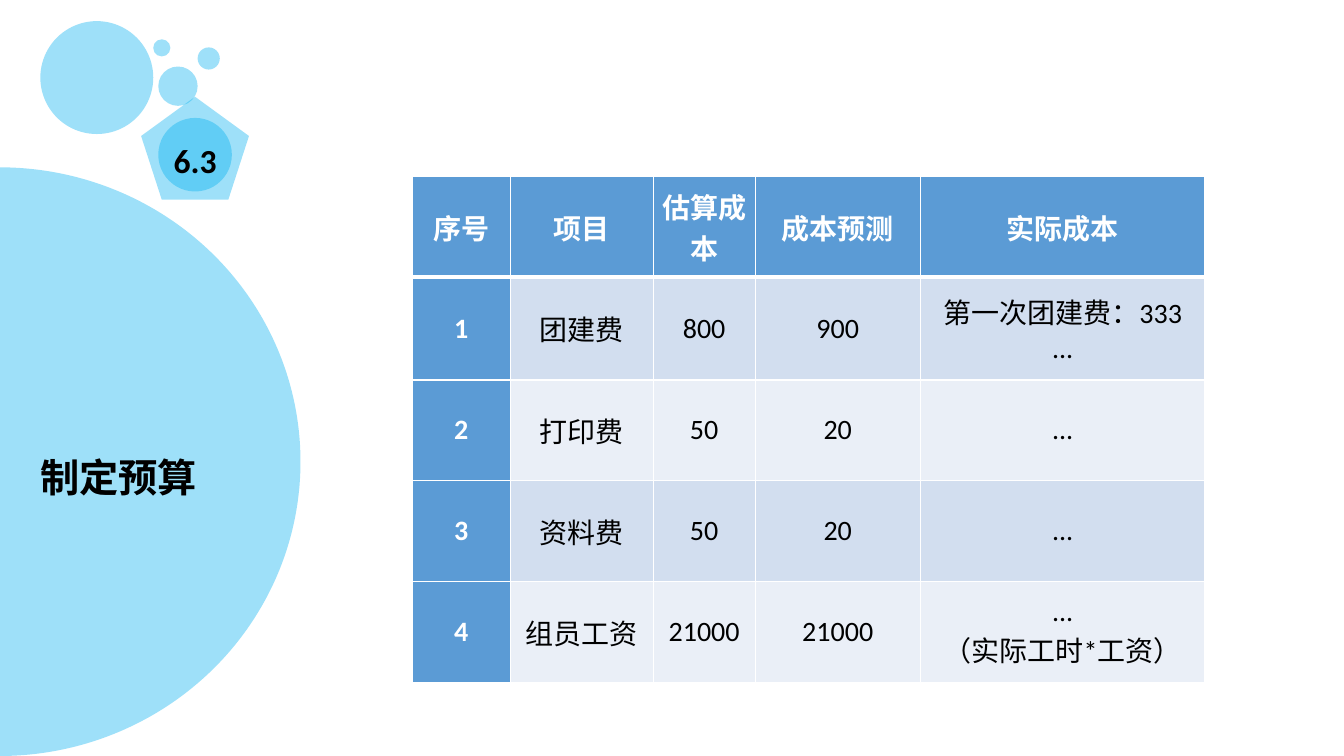
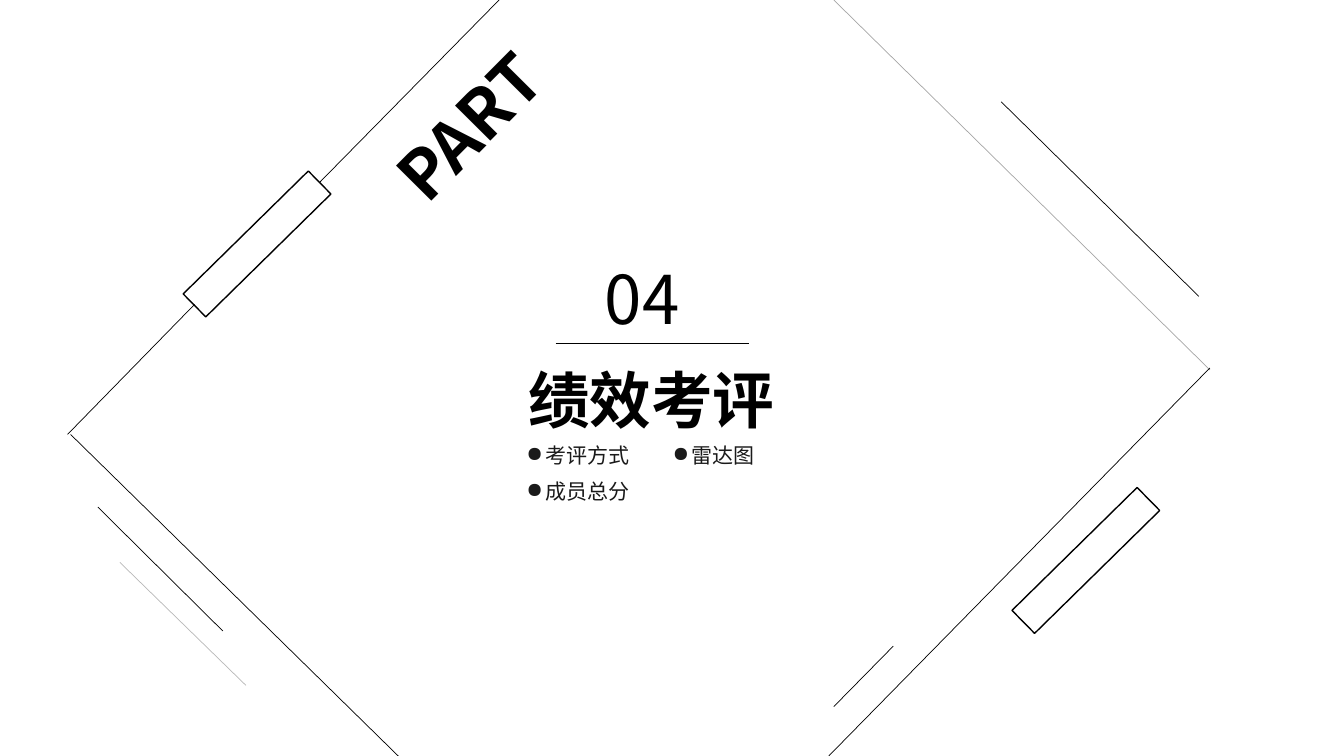
from lxml.etree import SubElement
from pptx import Presentation
from pptx.dml.color import RGBColor
from pptx.enum.shapes import MSO_CONNECTOR, MSO_SHAPE
from pptx.enum.text import MSO_ANCHOR, PP_ALIGN
from pptx.oxml import parse_xml
from pptx.oxml.ns import nsdecls, qn
from pptx.util import Inches, Pt

LATIN, CJK = "Calibri", "Noto Sans CJK SC"
BLACK, WHITE, BULLET_TEXT = "000000", "FFFFFF", "1A1A1A"
SKY, HEAD, BAND_DARK, BAND_LIGHT = "00B0F0", "5B9BD5", "D2DEEF", "EAEFF7"
BUBBLE_ALPHA = 38
TILT = 315.5


def color(hex_value):
    """Turn a hex string into a colour."""
    return RGBColor.from_string(hex_value)


def set_alpha(part, percent):
    """Make the solid fill inside an XML part partly transparent."""
    clr = next(part.iter(qn("a:srgbClr")))
    SubElement(clr, qn("a:alpha"), val=str(percent * 1000))


def style_runs(tf, size, font=LATIN, ink=BLACK, bold=False, align=None):
    """Format every paragraph and run of a text frame."""
    for p in tf.paragraphs:
        p.alignment = align
        for r in p.runs:
            r.font.size, r.font.bold = Pt(size), bold
            r.font.color.rgb = color(ink)
            r.font.name = font
            SubElement(r._r.get_or_add_rPr(), qn("a:ea"), typeface=CJK)


def add_text(s, box, text, size, rotation=0, wrap=True, margin=None, **style):
    """Add a text box and return its text frame."""
    sp = s.shapes.add_textbox(*map(Inches, box))
    sp.rotation = rotation
    tf = sp.text_frame
    tf.word_wrap = wrap
    if margin is not None:
        tf.margin_left = tf.margin_top = Inches(margin)
        tf.margin_right = tf.margin_bottom = Inches(margin)
    tf.text = text
    style_runs(tf, size, **style)
    return tf


def add_tinted(shapes, kind, box):
    """Add a translucent sky-blue shape without outline."""
    sp = shapes.add_shape(kind, *map(Inches, box))
    sp.shadow.inherit = False
    sp.fill.solid()
    sp.fill.fore_color.rgb = color(SKY)
    set_alpha(sp._element.spPr, BUBBLE_ALPHA)
    sp.line.fill.background()
    return sp


def add_line(s, start, end, alpha=None):
    """Add a thin black straight line."""
    c = s.shapes.add_connector(MSO_CONNECTOR.STRAIGHT, *map(Inches, start + end))
    c.line.color.rgb = color(BLACK)
    c.line.width = Pt(0.5)
    if alpha:
        set_alpha(c._element.spPr, alpha)
    SubElement(c._element.spPr, qn("a:effectLst"))
    return c


def add_tilted_bar(s, left, top):
    """Add an outlined bar tilted along the diamond's edge."""
    sp = s.shapes.add_shape(MSO_SHAPE.RECTANGLE, *map(Inches, (left, top, 1.74, 0.32)))
    sp.shadow.inherit = False
    sp.rotation = TILT
    sp.fill.background()
    sp.line.color.rgb = color(BLACK)
    sp.line.width = Pt(1)
    return sp


def join_end(c, sp, site):
    """Join a line's end to a tilted bar, keeping the end where it is drawn."""
    x, y = c.end_x, c.end_y
    c.end_connect(sp, site)
    c.end_x, c.end_y = x, y


def set_borders(cell, top, bottom):
    """Give a cell white borders; widths are in points."""
    tcPr = cell._tc.get_or_add_tcPr()
    for i, (side, width) in enumerate(zip("LRTB", (1, 1, top, bottom))):
        tcPr.insert(i, parse_xml(
            f'<a:ln{side} {nsdecls("a")} w="{Pt(width)}"><a:solidFill>'
            f'<a:srgbClr val="{WHITE}"/></a:solidFill></a:ln{side}>'))


def add_bubbles(s, left, top):
    """Add the cluster of circles in the corner."""
    group = s.shapes.add_group_shape()
    for x, y, d in ((0, 0, 1.12), (1.12, 0.18, 0.17), (1.56, 0.26, 0.22),
                    (1.17, 0.45, 0.39), (1.17, 0.96, 0.73)):
        add_tinted(group.shapes, MSO_SHAPE.OVAL, (left + x, top + y, d, d))


def add_side_panel(s, number, title):
    """Add the half disc with the section title and numbered pentagon."""
    add_bubbles(s, 0.4, 0.21)
    pie = add_tinted(s.shapes, MSO_SHAPE.PIE, (-2.99, 1.66, 5.97, 5.84))
    pie.adjustments[0], pie.adjustments[1] = 54, 162
    pie.rotation = 180
    add_text(s, (0.3, 4.45, 2.69, 0.57), title, 28, bold=True)
    badge = add_tinted(s.shapes, MSO_SHAPE.REGULAR_PENTAGON, (1.4, 0.96, 1.07, 1.02))
    tf = badge.text_frame
    tf.vertical_anchor = MSO_ANCHOR.MIDDLE
    tf.text = number
    style_runs(tf, 24, bold=True, align=PP_ALIGN.CENTER)


def add_budget_table(s, left, top, widths, heights, rows):
    """Add a banded table with a header row and a header column."""
    box = map(Inches, (left, top, sum(widths), sum(heights)))
    table = s.shapes.add_table(len(rows), len(widths), *box).table
    for col, width in zip(table.columns, widths):
        col.width = Inches(width)
    for i, (row, height) in enumerate(zip(rows, heights)):
        table.rows[i].height = Inches(height)
        for j, text in enumerate(row):
            cell = table.cell(i, j)
            is_head = i == 0 or j == 0
            cell.text_frame.text = text
            style_runs(cell.text_frame, 20, ink=WHITE if is_head else BLACK,
                       bold=is_head, align=PP_ALIGN.CENTER)
            cell.vertical_anchor = MSO_ANCHOR.MIDDLE
            cell.margin_left = cell.margin_right = Inches(0.07)
            cell.margin_top = cell.margin_bottom = 0
            cell.fill.solid()
            band = BAND_DARK if i % 2 else BAND_LIGHT
            cell.fill.fore_color.rgb = color(HEAD if is_head else band)
            set_borders(cell, 3 if i == 1 else 1, 3 if i == 0 else 1)


def budget_slide(prs):
    """Build the budget slide."""
    s = prs.slides.add_slide(prs.slide_layouts[6])
    add_side_panel(s, "6.3", "制定预算")
    add_budget_table(s, 4.09, 1.75, (0.97, 1.42, 1.01, 1.64, 2.82), (1, 1.02, 1, 1, 1), (
        ("序号", "项目", "估算成本", "成本预测", "实际成本"),
        ("1", "团建费", "800", "900", "第一次团建费：333\n..."),
        ("2", "打印费", "50", "20", "..."),
        ("3", "资料费", "50", "20", "..."),
        ("4", "组员工资", "21000", "21000", "...\n（实际工时*工资）"),
    ))


def add_diamond(s):
    """Add the large diamond outline with its bars and accent lines."""
    bar = add_tilted_bar(s, 1.68, 2.26)
    add_tilted_bar(s, 9.9, 5.4)
    join_end(add_line(s, (4.95, 0), (3.17, 1.81)), bar, 3)
    join_end(add_line(s, (0.67, 4.31), (1.93, 3.02)), bar, 1)
    for start, end, alpha in (
        ((3.95, 7.5), (0.7, 4.31), None),
        ((12, 3.67), (8.27, 0), 34),
        ((11.89, 2.94), (9.93, 1.01), None),
        ((12, 3.65), (8.22, 7.5), None),
        ((2.21, 6.26), (0.97, 5.03), None),
        ((2.44, 6.8), (1.19, 5.58), 28),
        ((8.86, 6.41), (8.27, 7.01), None),
    ):
        add_line(s, start, end, alpha)


def add_topics(s, left, top, topics):
    """Add bulleted topics on a grid of two columns."""
    for text, col, row, width in topics:
        box = (left + col * 1.45, top + row * 0.36, width, 0.25)
        tf = add_text(s, box, text, 15, margin=0, font=CJK, ink=BULLET_TEXT)
        pPr = tf.paragraphs[0]._p.get_or_add_pPr()
        pPr.set("marL", str(Inches(0.19)))
        pPr.set("indent", str(Inches(-0.19)))
        SubElement(pPr, qn("a:buChar"), char="●")


def part_slide(prs):
    """Build the section opener slide."""
    s = prs.slides.add_slide(prs.slide_layouts[6])
    add_diamond(s)
    add_text(s, (3.62, 0.59, 2.47, 0.91), "PART", 48, rotation=314.8,
             font=CJK, bold=True, align=PP_ALIGN.JUSTIFY)
    add_text(s, (5.14, 3.54, 2.67, 0.84), "绩效考评", 44, wrap=False, font=CJK, bold=True)
    add_text(s, (5.9, 2.5, 1.12, 0.91), "04", 48, font=CJK, align=PP_ALIGN.JUSTIFY)
    add_topics(s, 5.22, 4.39, (("考评方式", 0, 0, 1.71), ("成员总分", 0, 1, 1.71),
                               ("雷达图", 1, 0, 1.09)))
    add_line(s, (5.51, 3.41), (7.43, 3.41))


def main():
    """Build and save the presentation."""
    prs = Presentation()
    prs.slide_width, prs.slide_height = Inches(13.33), Inches(7.5)
    budget_slide(prs)
    part_slide(prs)
    prs.save("out.pptx")


if __name__ == "__main__":
    main()
